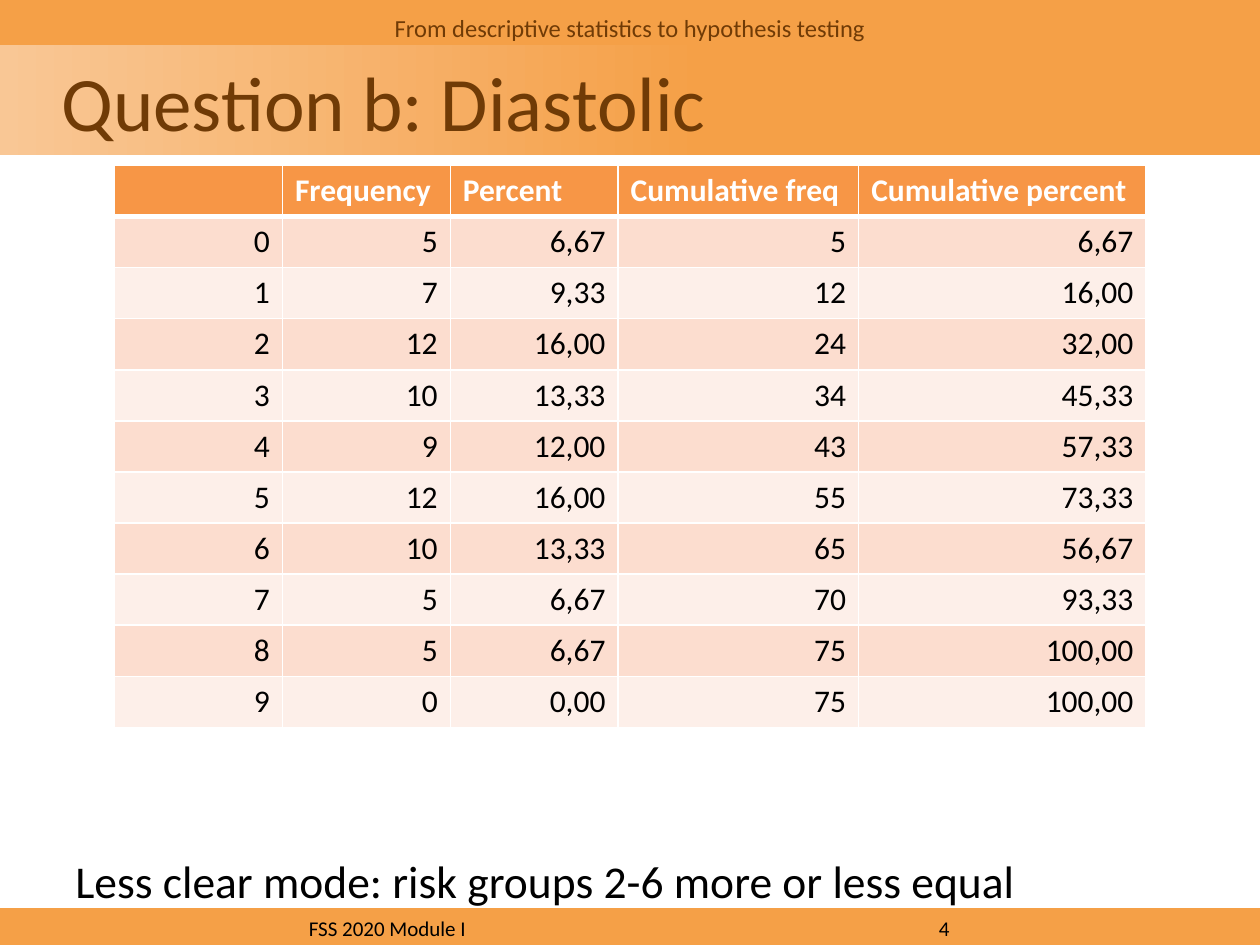
from dataclasses import dataclass
from lxml.etree import SubElement
from pptx import Presentation
from pptx.dml.color import RGBColor
from pptx.enum.shapes import MSO_SHAPE
from pptx.enum.text import MSO_ANCHOR, PP_ALIGN
from pptx.oxml.ns import qn
from pptx.util import Pt


@dataclass(frozen=True)
class Theme:
    font: str = "Calibri"
    band: str = "F5A047"
    pale: str = "F9C795"
    brown: str = "703B06"
    black: str = "000000"
    white: str = "FFFFFF"
    head: str = "F79646"
    odd: str = "FCDDCF"
    even: str = "FDEFE9"
    title: int = 44
    body: int = 26
    cell: int = 18
    top: int = 14
    foot: int = 12


THEME = Theme()
WIDE, HIGH = 720, 540
COLS = (95.9, 95.9, 95.9, 137.5, 164.2)
ROW = 29.2
HEADS = ("", "Frequency", "Percent", "Cumulative freq", "Cumulative percent")
ROWS = (
    ("0", "5", "6,67", "5", "6,67"),
    ("1", "7", "9,33", "12", "16,00"),
    ("2", "12", "16,00", "24", "32,00"),
    ("3", "10", "13,33", "34", "45,33"),
    ("4", "9", "12,00", "43", "57,33"),
    ("5", "12", "16,00", "55", "73,33"),
    ("6", "10", "13,33", "65", "56,67"),
    ("7", "5", "6,67", "70", "93,33"),
    ("8", "5", "6,67", "75", "100,00"),
    ("9", "0", "0,00", "75", "100,00"),
)


def rgb(code):
    return RGBColor.from_string(code)


def write(frame, text, size, color, align=PP_ALIGN.LEFT, bold=False):
    frame.text = text
    para = frame.paragraphs[0]
    para.alignment = align
    for run in para.runs:
        font = run.font
        font.name, font.size, font.bold = THEME.font, Pt(size), bold
        font.color.rgb = rgb(color)


def add_band(slide, top, height):
    band = slide.shapes.add_shape(
        MSO_SHAPE.RECTANGLE, 0, Pt(top), Pt(WIDE), Pt(height))
    band.shadow.inherit = False
    band.line.fill.background()
    band.fill.solid()
    band.fill.fore_color.rgb = rgb(THEME.band)
    band.text_frame.vertical_anchor = MSO_ANCHOR.MIDDLE
    return band


def add_title(slide, text):
    band = add_band(slide, 26, 62.5)
    band.fill.gradient()
    band.fill.gradient_angle = 0
    first, last = band.fill.gradient_stops
    first.position, last.position = 0, 0.56
    first.color.rgb, last.color.rgb = rgb(THEME.pale), rgb(THEME.band)
    band.text_frame.margin_left = Pt(35.2)
    write(band.text_frame, text, THEME.title, THEME.brown)


def add_foot(slide, text):
    frame = add_band(slide, 519, 22.5).text_frame
    frame.margin_left = Pt(176.5)
    write(frame, text, THEME.foot, THEME.black)
    props = frame.paragraphs[0]._p.get_or_add_pPr()
    tabs = SubElement(props, qn("a:tabLst"))
    SubElement(tabs, qn("a:tab"), pos=str(Pt(360)), algn="l")


def add_text(slide, box, text, size, color, align=PP_ALIGN.LEFT):
    frame = slide.shapes.add_textbox(*map(Pt, box)).text_frame
    frame.word_wrap = True
    write(frame, text, size, color, align)


def set_edge(cell, side, width):
    props = cell._tc.get_or_add_tcPr()
    line = SubElement(props, qn(f"a:ln{side}"), w=str(Pt(width)))
    fill = SubElement(line, qn("a:solidFill"))
    SubElement(fill, qn("a:srgbClr"), val=THEME.white)


def fill_cell(cell, text, row):
    head = row == 0
    for side in "LRTB":
        thick = (row, side) in ((0, "B"), (1, "T"))
        set_edge(cell, side, 3 if thick else 1)
    cell.fill.solid()
    shade = THEME.head if head else THEME.odd if row % 2 else THEME.even
    cell.fill.fore_color.rgb = rgb(shade)
    write(cell.text_frame, text, THEME.cell,
          THEME.white if head else THEME.black,
          PP_ALIGN.LEFT if head else PP_ALIGN.RIGHT, head)


def add_grid(slide, left, top):
    data = (HEADS, *ROWS)
    grid = slide.shapes.add_table(
        len(data), len(COLS), Pt(left), Pt(top),
        Pt(sum(COLS)), Pt(ROW * len(data))).table
    for col, width in zip(grid.columns, COLS):
        col.width = Pt(width)
    for r, texts in enumerate(data):
        grid.rows[r].height = Pt(ROW)
        for c, text in enumerate(texts):
            fill_cell(grid.cell(r, c), text, r)


def main():
    deck = Presentation()
    deck.slide_width, deck.slide_height = Pt(WIDE), Pt(HIGH)
    slide = deck.slides.add_slide(deck.slide_layouts[6])
    add_band(slide, 0, 26)
    add_title(slide, "Question b: Diastolic")
    add_text(slide, (36, 484, 648, 39),
             "Less clear mode: risk groups 2-6 more or less equal",
             THEME.body, THEME.black)
    add_foot(slide, "FSS 2020 Module I\t4")
    add_text(slide, (0, 3.6, WIDE, 27),
             "From descriptive statistics to hypothesis testing",
             THEME.top, THEME.brown, PP_ALIGN.CENTER)
    add_grid(slide, 65.5, 94.5)
    deck.save("out.pptx")


if __name__ == "__main__":
    main()
